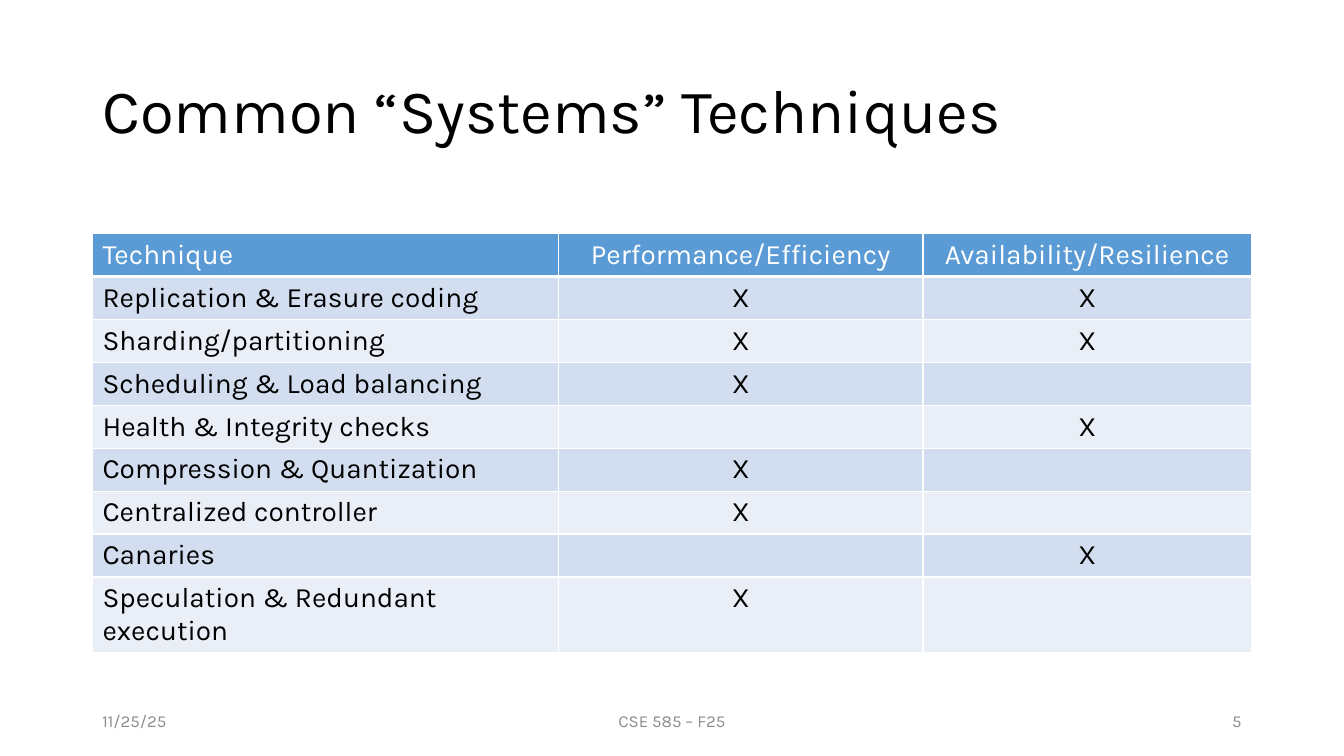
"""Build the slide that compares common systems techniques."""
from lxml import etree
from pptx import Presentation
from pptx import util as u
from pptx.dml.color import RGBColor
from pptx.enum import text
from pptx.oxml import ns

LEFT, WIDTH = 2.33, 29.21
COLUMN_WIDTHS = (11.75, 9.18, 8.28)
ROW_HEIGHT = 1.04
HEADER_FILL, BAND_FILLS = "5B9BD5", ("D2DEEF", "EAEFF7")
HEADERS = ("Technique", "Performance/Efficiency", "Availability/Resilience")
TECHNIQUES = (
    ("Replication & Erasure coding", "X", "X"),
    ("Sharding/partitioning", "X", "X"),
    ("Scheduling & Load balancing", "X", ""),
    ("Health & Integrity checks", "", "X"),
    ("Compression & Quantization", "X", ""),
    ("Centralized controller", "X", ""),
    ("Canaries", "", "X"),
    ("Speculation & Redundant execution", "X", ""),
)
ALIGN = text.PP_ALIGN


def color(value):
    """Turn a hex string into a colour."""
    return RGBColor.from_string(value)


def write(frame, words, size, ink, align=ALIGN.LEFT):
    """Put one formatted paragraph into a text frame."""
    frame.text = words
    para = frame.paragraphs[0]
    para.alignment = align
    para.font.name = "Karla"
    para.font.size = u.Pt(size)
    para.font.bold = False
    para.font.color.rgb = color(ink)
    return para


def add_title(page, words):
    """Place and format the title."""
    title = page.shapes.title
    title.left, title.top = u.Cm(LEFT), u.Cm(1.01)
    title.width, title.height = u.Cm(WIDTH), u.Cm(3.68)
    title.text_frame.vertical_anchor = text.MSO_ANCHOR.MIDDLE
    write(title.text_frame, words, 44, "000000").line_spacing = 0.9


def add_borders(cell, bottom):
    """Draw white lines around a cell, with the given bottom width."""
    properties = cell._tc.get_or_add_tcPr()
    for side, points in (("L", 1), ("R", 1), ("T", 1), ("B", bottom)):
        line = etree.SubElement(properties, ns.qn(f"a:ln{side}"), w=str(u.Pt(points)))
        fill = etree.SubElement(line, ns.qn("a:solidFill"))
        etree.SubElement(fill, ns.qn("a:srgbClr"), val="FFFFFF")


def add_techniques(page):
    """Add the table of techniques and their benefits."""
    rows = (HEADERS, *TECHNIQUES)
    table = page.shapes.add_table(
        len(rows), len(HEADERS), u.Cm(LEFT), u.Cm(5.89),
        u.Cm(WIDTH), u.Cm(ROW_HEIGHT * len(rows))).table
    for column, width in zip(table.columns, COLUMN_WIDTHS):
        column.width = u.Cm(width)
    for r, row in enumerate(rows):
        table.rows[r].height = u.Cm(ROW_HEIGHT)
        for c, words in enumerate(row):
            cell = table.cell(r, c)
            add_borders(cell, 1 if r else 3)
            cell.fill.solid()
            cell.fill.fore_color.rgb = color(BAND_FILLS[(r - 1) % 2] if r else HEADER_FILL)
            write(cell.text_frame, words, 20, "000000" if r else "FFFFFF",
                  ALIGN.CENTER if c else ALIGN.LEFT)


def add_footer(page, left, width, words, align):
    """Add one small grey text at the foot of the slide."""
    box = page.shapes.add_textbox(u.Cm(left), u.Cm(17.65), u.Cm(width), u.Cm(1.01))
    box.text_frame.word_wrap = True
    box.text_frame.vertical_anchor = text.MSO_ANCHOR.MIDDLE
    write(box.text_frame, words, 12, "8C8C8C", align)


def main():
    """Build and save the deck."""
    deck = Presentation()
    deck.slide_width, deck.slide_height = u.Cm(33.87), u.Cm(19.05)
    page = deck.slides.add_slide(deck.slide_layouts[5])
    add_title(page, "Common “Systems” Techniques")
    add_techniques(page)
    add_footer(page, LEFT, 7.62, "11/25/25", ALIGN.LEFT)
    add_footer(page, 11.22, 11.43, "CSE 585 – F25", ALIGN.CENTER)
    add_footer(page, 23.92, 7.62, "5", ALIGN.RIGHT)
    deck.save("out.pptx")


if __name__ == "__main__":
    main()
